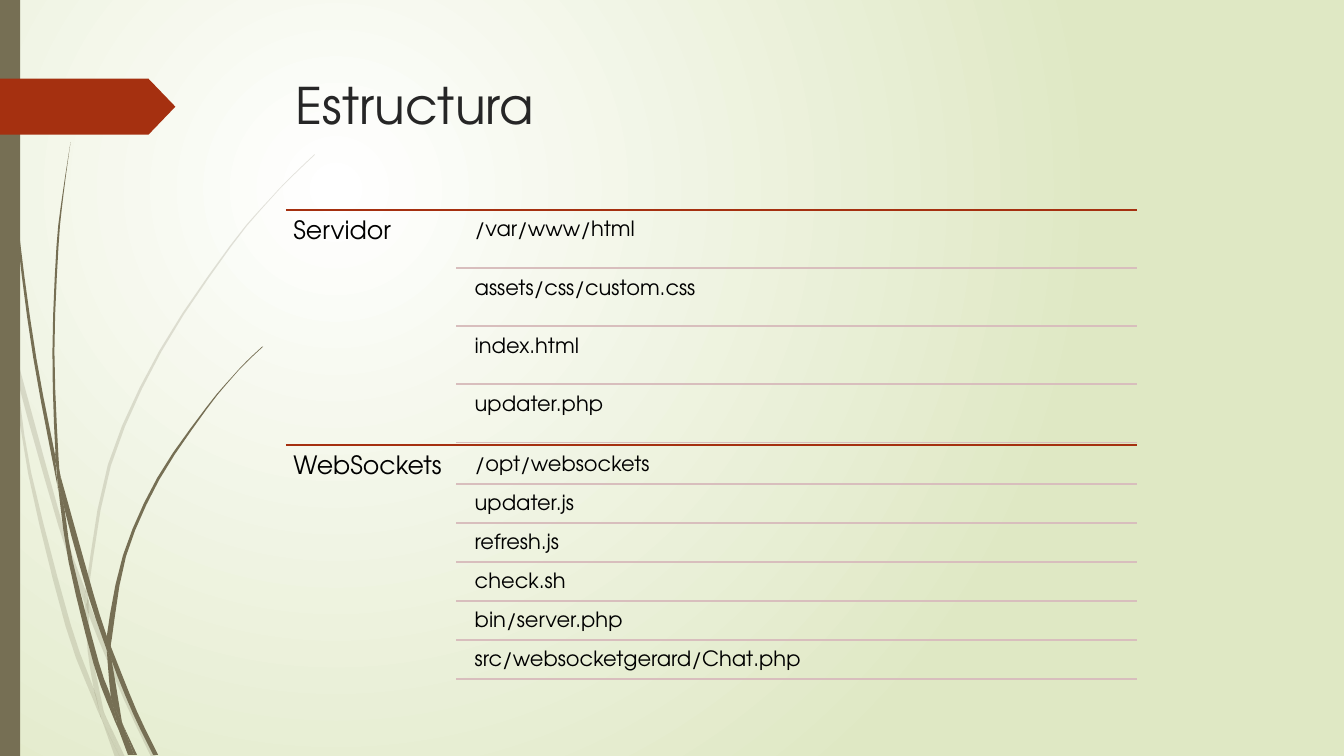
from lxml.etree import SubElement
from pptx import Presentation
from pptx.dml.color import RGBColor
from pptx.enum.shapes import MSO_CONNECTOR, MSO_SHAPE
from pptx.enum.text import MSO_ANCHOR
from pptx.oxml import parse_xml
from pptx.oxml.ns import nsdecls, qn
from pptx.util import Pt

COLORS = {
    "olive": "766F54",
    "rust": "A53010",
    "rose": "D8BEBD",
    "title": "262626",
    "text": "000000",
    "glow": "FFFFFF",
    "meadow": "DFE8C4",
}
FONT = "TeX Gyre Adventor"

TABLE_LEFT, TABLE_RIGHT, TABLE_TOP = 204.2, 812.2, 149.8
SECTION_HEIGHT = 168.2
LABEL_WIDTH = 121.6
ITEM_LEFT = 334.6
SECTIONS = [
    ("Servidor", ["/var/www/html", "assets/css/custom.css", "index.html", "updater.php"]),
    ("WebSockets", ["/opt/websockets", "updater.js", "refresh.js", "check.sh",
                    "bin/server.php", "src/websocketgerard/Chat.php"]),
]

BLADE_UNIT = 0.72
PALE_BLADES = [
    ([(11, 350), (9, 322), (0, 282)], [(0, 299), (10, 344), (11, 350)]),
    ([(14, 345), (17, 376), (58, 522), (84, 599)], [(85, 586), (62, 520), (14, 345)]),
    ([(88, 596), (88, 610), (123, 694), (150, 751)], [(155, 751), (127, 692), (92, 607), (88, 596)]),
    ([(119, 751), (124, 751)], [(105, 711), (119, 751)]),
    ([(11, 350), (28, 470), (65, 621), (92, 693), (101, 714)],
     [(99, 707), (93, 683), (70, 619), (31, 469), (17, 376), (11, 350)]),
    ([(84, 599), (87, 646), (93, 683), (96, 692), (105, 711)],
     [(103, 706), (91, 646), (88, 610), (88, 608), (84, 599)]),
    ([(88, 596), (88, 584), (110, 462), (160, 349), (229, 245), (268, 198), (290, 175), (312, 154)],
     [(312, 153), (289, 175), (268, 197), (228, 244), (158, 348), (107, 461), (85, 584), (85, 586)]),
    ([(101, 714), (114, 751)], [(119, 751), (101, 714)]),
    ([(88, 608), (88, 596)], [(85, 586), (84, 599)]),
    ([(93, 683), (99, 707), (101, 714), (119, 751)], [(105, 711), (96, 692), (93, 683)]),
]
DARK_BLADES = [
    ([(3, 0), (4, 48), (7, 110), (17, 233), (33, 355), (56, 477), (57, 481)],
     [(55, 457), (55, 453), (36, 355), (19, 232), (8, 109), (5, 48), (4, 0)]),
    ([(60, 472), (64, 505), (88, 592), (106, 645)], [(106, 631), (93, 590), (60, 472)]),
    ([(110, 641), (111, 656), (132, 708), (152, 749)], [(157, 749), (136, 706), (113, 649), (110, 641)]),
    ([(57, 477), (68, 557), (93, 659), (111, 708), (117, 722)],
     [(116, 717), (110, 691), (98, 657), (72, 556), (64, 505), (57, 477)]),
    ([(60, 472), (58, 453), (54, 349), (58, 245), (63, 193), (70, 141)],
     [(70, 141), (62, 193), (56, 245), (52, 349), (55, 449), (60, 472)]),
    ([(133, 749), (136, 749)], [(122, 719), (133, 749)]),
    ([(57, 477), (64, 505)], [(60, 472), (55, 449), (55, 453)]),
    ([(110, 641), (111, 633), (125, 552), (158, 476), (205, 406), (231, 374), (245, 359), (261, 344)],
     [(260, 344), (245, 358), (231, 373), (204, 405), (156, 474), (122, 551), (106, 631), (110, 641)]),
    ([(117, 722), (127, 749)], [(131, 749), (117, 722)]),
    ([(106, 645), (110, 691), (116, 706), (122, 719)], [(121, 716), (111, 656), (109, 651), (106, 645)]),
    ([(106, 645), (111, 656)], [(110, 641), (106, 631)]),
    ([(110, 691), (116, 717), (117, 722), (130, 749)], [(133, 749), (122, 719), (116, 706), (110, 691)]),
]


def color(name):
    return RGBColor.from_string(COLORS[name])


def set_background(slide):
    background = parse_xml(
        f'<p:bg {nsdecls("p", "a")}><p:bgPr><a:gradFill rotWithShape="1"><a:gsLst>'
        f'<a:gs pos="0"><a:srgbClr val="{COLORS["glow"]}"/></a:gs>'
        f'<a:gs pos="100000"><a:srgbClr val="{COLORS["meadow"]}"/></a:gs></a:gsLst>'
        '<a:path path="circle"><a:fillToRect l="50000" t="50000" r="100000" b="100000"/>'
        '</a:path></a:gradFill><a:effectLst/></p:bgPr></p:bg>')
    slide.element.find(qn("p:cSld")).insert(0, background)


def paint(shape, fill, opacity=100):
    shape.shadow.inherit = False
    shape.fill.solid()
    shape.fill.fore_color.rgb = color(fill)
    shape.line.fill.background()
    if opacity < 100:
        tint = shape.element.spPr.find(qn("a:solidFill"))[0]
        SubElement(tint, qn("a:alpha"), val=str(opacity * 1000))


def smooth_edge(points, steps=3):
    if len(points) == 2:
        return points
    padded = [points[0], *points, points[-1]]
    curve = [points[0]]
    for before, start, end, after in zip(padded, padded[1:], padded[2:], padded[3:]):
        for step in range(1, steps + 1):
            t = step / steps
            curve.append(tuple(
                b + (c - a) * t / 2 + (2 * a - 5 * b + 4 * c - d) * t**2 / 2
                + (3 * b - a - 3 * c + d) * t**3 / 2
                for a, b, c, d in zip(before, start, end, after)))
    return curve


def add_blade(slide, edges, opacity):
    outline = [(Pt(x * BLADE_UNIT), Pt(y * BLADE_UNIT))
               for edge in edges for x, y in smooth_edge(edge)]
    builder = slide.shapes.build_freeform(*outline[0])
    builder.add_line_segments(outline[1:], close=True)
    paint(builder.convert_to_shape(), "olive", opacity)


def add_block(slide, kind, left, top, width, height, fill):
    shape = slide.shapes.add_shape(kind, Pt(left), Pt(top), Pt(width), Pt(height))
    paint(shape, fill)
    return shape


def add_text(slide, text, left, top, width, height, size, inset, ink="text", spacing=0.9):
    frame = slide.shapes.add_textbox(Pt(left), Pt(top), Pt(width), Pt(height)).text_frame
    frame.word_wrap = True
    frame.vertical_anchor = MSO_ANCHOR.TOP
    frame.margin_left = frame.margin_right = Pt(inset[0])
    frame.margin_top = frame.margin_bottom = Pt(inset[1])
    frame.text = text
    paragraph = frame.paragraphs[0]
    paragraph.line_spacing = spacing
    font = paragraph.runs[0].font
    font.name = FONT
    font.size = Pt(size)
    font.color.rgb = color(ink)


def add_rule(slide, left, y, ink):
    rule = slide.shapes.add_connector(
        MSO_CONNECTOR.STRAIGHT, Pt(left), Pt(y), Pt(TABLE_RIGHT), Pt(y))
    rule.line.color.rgb = color(ink)
    rule.line.width = Pt(1.25)
    SubElement(rule.element.spPr, qn("a:effectLst"))


def add_section(slide, top, label, items):
    add_rule(slide, TABLE_LEFT, top, "rust")
    add_text(slide, label, TABLE_LEFT, top, LABEL_WIDTH, SECTION_HEIGHT, 18, (5.4, 5.4))
    gap = SECTION_HEIGHT / (21 * len(items) + 1)
    for index, item in enumerate(items):
        row_top = top + gap + 21 * gap * index
        row_bottom = row_top + 20 * gap
        add_text(slide, item, ITEM_LEFT, row_top, TABLE_RIGHT - ITEM_LEFT, 20 * gap, 15, (4.5, 4.5))
        add_rule(slide, TABLE_LEFT + LABEL_WIDTH, row_bottom, "rose")


def main():
    presentation = Presentation()
    presentation.slide_width, presentation.slide_height = Pt(960), Pt(540)
    slide = presentation.slides.add_slide(presentation.slide_layouts[6])
    set_background(slide)
    for blades, opacity in ((PALE_BLADES, 20), (DARK_BLADES, 100)):
        for edges in blades:
            add_blade(slide, edges, opacity)
    add_block(slide, MSO_SHAPE.RECTANGLE, 0, 0, 14.4, 540, "olive")
    tag = add_block(slide, MSO_SHAPE.PENTAGON, 0, 56.2, 125.3, 40, "rust")
    tag.adjustments[0] = 0.48
    add_text(slide, "Estructura", 204, 49.4, 702, 100.8, 36, (7.2, 3.6), "title", 1)
    for index, (label, items) in enumerate(SECTIONS):
        add_section(slide, TABLE_TOP + index * SECTION_HEIGHT, label, items)
    presentation.save("out.pptx")


if __name__ == "__main__":
    main()
